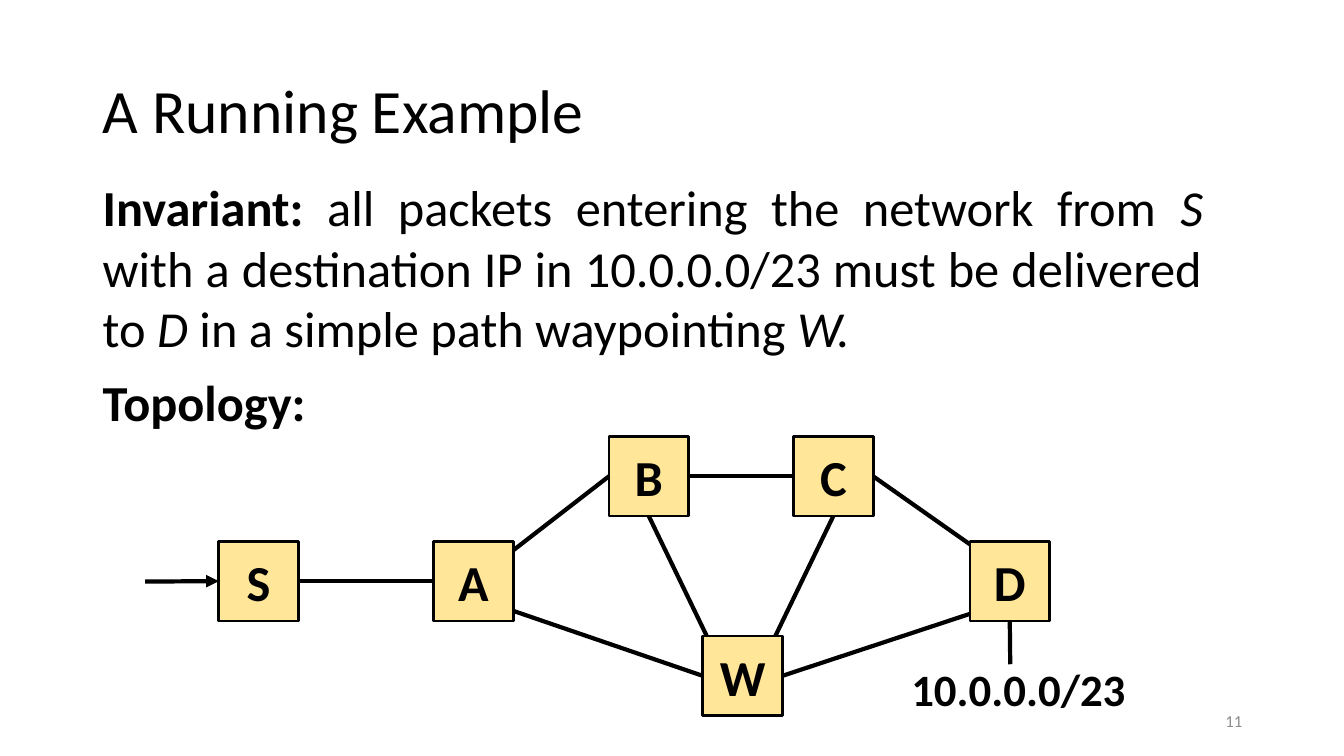
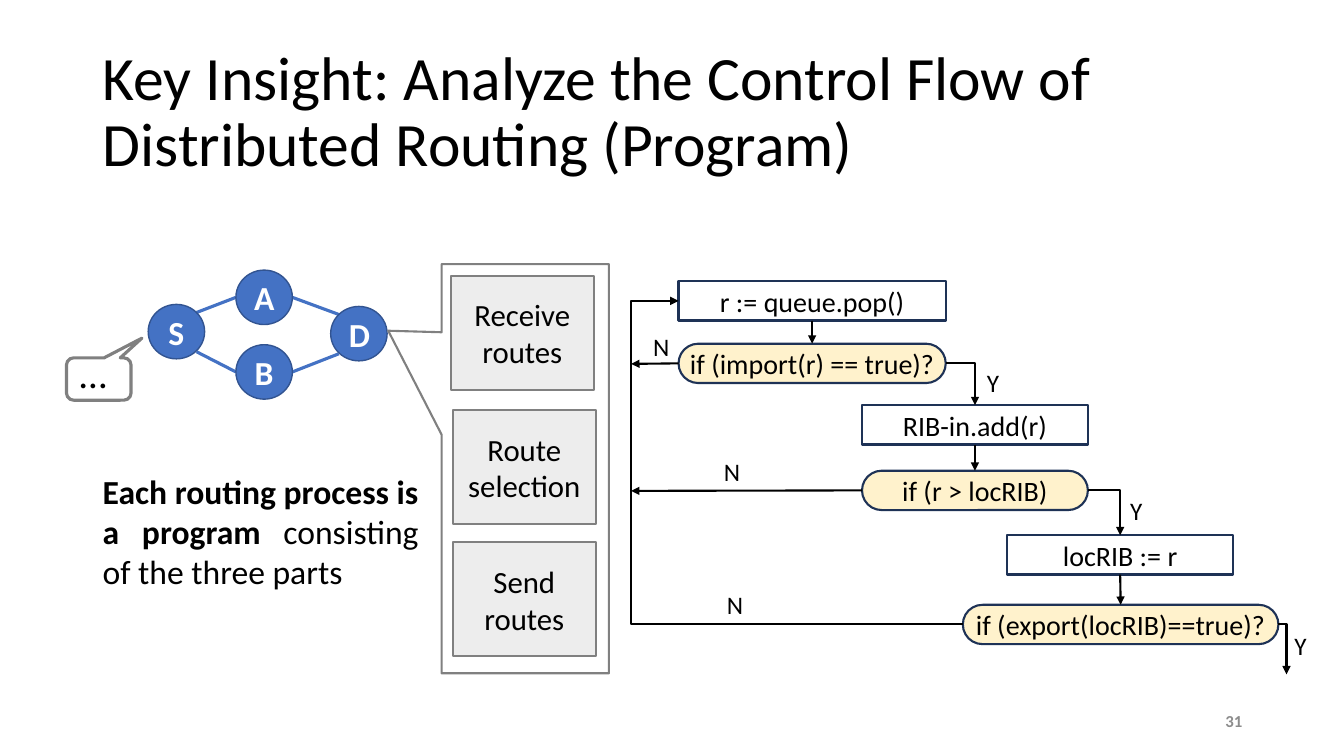
from lxml.etree import SubElement
from pptx import Presentation
from pptx.dml.color import RGBColor
from pptx.enum.shapes import MSO_CONNECTOR as CONNECTOR, MSO_SHAPE as SHAPE
from pptx.enum.text import MSO_ANCHOR as ANCHOR, PP_ALIGN as ALIGN
from pptx.oxml.ns import qn
from pptx.util import Inches, Pt

BLACK, WHITE, GRAY = "000000", "FFFFFF", "808080"
BLUE, BLUE_EDGE, NAVY = "4472C4", "325491", "1E3256"
NODE_GOLD, DECISION_GOLD, PART_GRAY = "FFE699", "FFF2CC", "EDEDED"


def add_box(slide, at, paragraphs=(), kind=None, fill=WHITE, line=(BLACK, 1), adjust=(),
            size=18, color=BLACK, bold=False, spacing=None, **frame_format):
    """Add a shape, or a text box without kind; a paragraph is a string or a list of (text, font format)."""
    place = [Inches(length) for length in at]
    if kind is None:
        shape = slide.shapes.add_textbox(*place)
    else:
        shape = slide.shapes.add_shape(kind, *place)
        shape.shadow.inherit = False
        shape.fill.solid()
        shape.fill.fore_color.rgb = RGBColor.from_string(fill)
        shape.line.color.rgb = RGBColor.from_string(line[0])
        shape.line.width = Pt(line[1])
        for index, value in enumerate(adjust):
            shape.adjustments[index] = value
    frame = shape.text_frame
    align = frame_format.pop("align", ALIGN.LEFT if kind is None else ALIGN.CENTER)
    for name, value in {"word_wrap": True, **frame_format}.items():
        setattr(frame, name, value)
    for index, content in enumerate(paragraphs):
        paragraph = frame.add_paragraph() if index else frame.paragraphs[0]
        paragraph.alignment = align
        paragraph.line_spacing = spacing
        for text, font_format in [(content, {})] if isinstance(content, str) else content:
            run = paragraph.add_run()
            run.text = text
            run.font.color.rgb = RGBColor.from_string(color)
            defaults = {"name": "Calibri", "size": Pt(size), "bold": bold}
            for name, value in {**defaults, **font_format}.items():
                setattr(run.font, name, value)
    return shape


def add_line(slide, start, end, color=BLACK, width=1.5, arrow=False, bend=None, adjust=None):
    """Join two ends, each a point (x, y) or a joined side (shape, site)."""
    joined = [not isinstance(tip[0], (int, float)) for tip in (start, end)]
    points = [(0, 0) if join else [Inches(length) for length in tip]
              for tip, join in zip((start, end), joined)]
    connector = slide.shapes.add_connector(
        CONNECTOR.ELBOW if bend else CONNECTOR.STRAIGHT, *points[0], *points[1])
    if joined[0]:
        connector.begin_connect(*start)
    if joined[1]:
        connector.end_connect(*end)
    connector.line.color.rgb = RGBColor.from_string(color)
    connector.line.width = Pt(width)
    properties = connector._element.spPr
    if arrow:
        SubElement(properties.find(qn("a:ln")), qn("a:tailEnd"), type="triangle")
    SubElement(properties, qn("a:effectLst"))
    if bend:
        geometry = properties.find(qn("a:prstGeom"))
        geometry.set("prst", bend)
        if adjust:
            SubElement(geometry.find(qn("a:avLst")), qn("a:gd"), name="adj1", fmla=f"val {adjust}")


presentation = Presentation()
presentation.slide_width, presentation.slide_height = Inches(13.33), Inches(7.5)

# Shared title and slide number
slides = []
for title, number, number_bold in (
        ("A Running Example", "11", False),
        ("Key Insight: Analyze the Control Flow of Distributed Routing (Program)", "31", True)):
    slide = presentation.slides.add_slide(presentation.slide_layouts[6])
    add_box(slide, (0.92, 0.4, 11.5, 1.45), [title], size=44, spacing=0.9,
            vertical_anchor=ANCHOR.MIDDLE)
    add_box(slide, (9.42, 6.95, 3, 0.4), [number], size=12, color="8C8C8C", bold=number_bold,
            align=ALIGN.RIGHT, vertical_anchor=ANCHOR.MIDDLE)
    slides.append(slide)
example, insight = slides

# Example: invariant
strong, italic = {"bold": True}, {"italic": True}
add_box(example, (0.92, 1.7, 11.11, 1.92), [[
    ("Invariant: ", strong), ("all packets entering the network from ", {}), ("S ", italic),
    ("with a destination IP in 10.0.0.0/23 must be delivered to ", {}), ("D ", italic),
    ("in a simple path waypointing ", {}), ("W. ", italic)]], size=36, align=ALIGN.JUSTIFY)
add_box(example, (0.92, 3.63, 2.24, 0.71), ["Topology:"], size=36, bold=True, word_wrap=False)

# Example: topology
nodes = {}
for name, left, top in (("S", 2.17, 5.37), ("A", 4.3, 5.37), ("B", 6.04, 4.33),
                        ("C", 7.87, 4.33), ("D", 9.62, 5.37), ("W", 6.97, 6.31)):
    nodes[name] = add_box(example, (left, top, 0.79, 0.79), [name], SHAPE.RECTANGLE, NODE_GOLD,
                          (BLACK, 2), size=36, bold=True, vertical_anchor=ANCHOR.MIDDLE)
for start, end in (
        ((nodes["S"], 3), (nodes["A"], 1)),
        ((5.09, 5.46), (nodes["B"], 1)),
        ((nodes["B"], 3), (nodes["C"], 1)),
        ((5.09, 6.06), (nodes["W"], 1)),
        ((nodes["W"], 3), (9.62, 6.09)),
        ((nodes["C"], 3), (9.62, 5.4)),
        ((7.01, 6.31), (nodes["B"], 2)),
        ((7.69, 6.31), (nodes["C"], 2)),
        ((nodes["D"], 2), (10.02, 6.59))):
    add_line(example, start, end, width=3)
add_line(example, (1.44, 5.77), (nodes["S"], 1), width=3, arrow=True)
add_box(example, (8.94, 6.52, 2.35, 0.64), ["10.0.0.0/23"], size=32, bold=True, word_wrap=False)

# Insight: small network
add_box(insight, (0.66, 3.55, 0.64, 0.42), kind=SHAPE.ROUNDED_RECTANGULAR_CALLOUT,
        line=(GRAY, 2.25), adjust=(0.669, -0.965, 0.167))
add_box(insight, (0.69, 3.42, 0.45, 0.57), ["…"], size=28, align=ALIGN.CENTER)
for start, end in (((1.95, 3.1), (2.34, 2.95)), ((2.9, 2.95), (3.36, 3.12)),
                   ((1.95, 3.49), (2.34, 3.69)), ((2.9, 3.69), (3.36, 3.51))):
    add_line(insight, start, end, BLUE, 2.25)
for name, left, top in (("S", 1.47, 3.02), ("A", 2.34, 2.68), ("B", 2.34, 3.42), ("D", 3.28, 3.04)):
    add_box(insight, (left, top, 0.56, 0.54), [name], SHAPE.OVAL, BLUE, (BLUE_EDGE, 1),
            size=24, color=WHITE, bold=True, vertical_anchor=ANCHOR.MIDDLE)
add_box(insight, (0.92, 4.62, 3.33, 1.31), [[
    ("Each routing process is a program ", strong), ("consisting of the three parts", {})]],
    size=24, align=ALIGN.JUSTIFY)

# Insight: the three parts
tight = {"vertical_anchor": ANCHOR.MIDDLE,
         **{f"margin_{side}": 0 for side in ("left", "top", "right", "bottom")}}
add_box(insight, (4.38, 2.62, 1.66, 4.06), kind=SHAPE.RECTANGULAR_CALLOUT,
        line=(GRAY, 1.5), adjust=(-0.819, -0.337))
for left, top, words in ((4.47, 2.74, ["Receive", "routes"]), (4.49, 4.07, ["Route", "selection"]),
                         (4.49, 5.38, ["Send routes"])):
    add_box(insight, (left, top, 1.42, 1.13), words, SHAPE.RECTANGLE, PART_GRAY, (GRAY, 1.5),
            size=22, **tight)

# Insight: flow chart, one step and one test per stage
steps, tests = [], []
for step, step_at, test, test_at in (
        ("r := queue.pop()", (6.73, 2.79, 2.65), "if (import(r) == true)?", (6.73, 3.41, 2.65)),
        ("RIB-in.add(r)", (8.55, 4.02, 2.24), "if (r > locRIB)", (8.55, 4.67, 2.24)),
        ("locRIB := r", (9.99, 5.31, 2.24), "if (export(locRIB)==true)?", (9.55, 6, 3.13))):
    steps.append(add_box(insight, (*step_at, 0.39), [step], SHAPE.RECTANGLE, WHITE,
                         (NAVY, 1.5), size=20, **tight))
    tests.append(add_box(insight, (*test_at, 0.39), [test], SHAPE.ROUNDED_RECTANGLE, DECISION_GOLD,
                         (NAVY, 1.5), (0.5,), size=20, **tight))
    add_line(insight, (steps[-1], 2), (tests[-1], 0), arrow=True)

# Insight: yes branches go on, no branches return to the queue
for test, target in zip(tests, [(step, 0) for step in steps[1:]] + [(12.76, 6.69)]):
    add_line(insight, (test, 3), target, arrow=True, bend="bentConnector2")
for test, y in zip(tests, (3.61, 4.87)):
    add_line(insight, (test, 1), (6.26, y), arrow=True)
add_line(insight, (tests[2], 1), (steps[0], 1), arrow=True, bend="bentConnector3", adjust=116600)
for answer, left, top in (("Y", 9.69, 3.59), ("Y", 11.11, 4.86), ("Y", 12.74, 6.2),
                          ("N", 6.38, 3.24), ("N", 7.08, 4.48), ("N", 7.11, 5.8)):
    add_box(insight, (left, top, 0.58, 0.39), [answer])

presentation.save("out.pptx")
